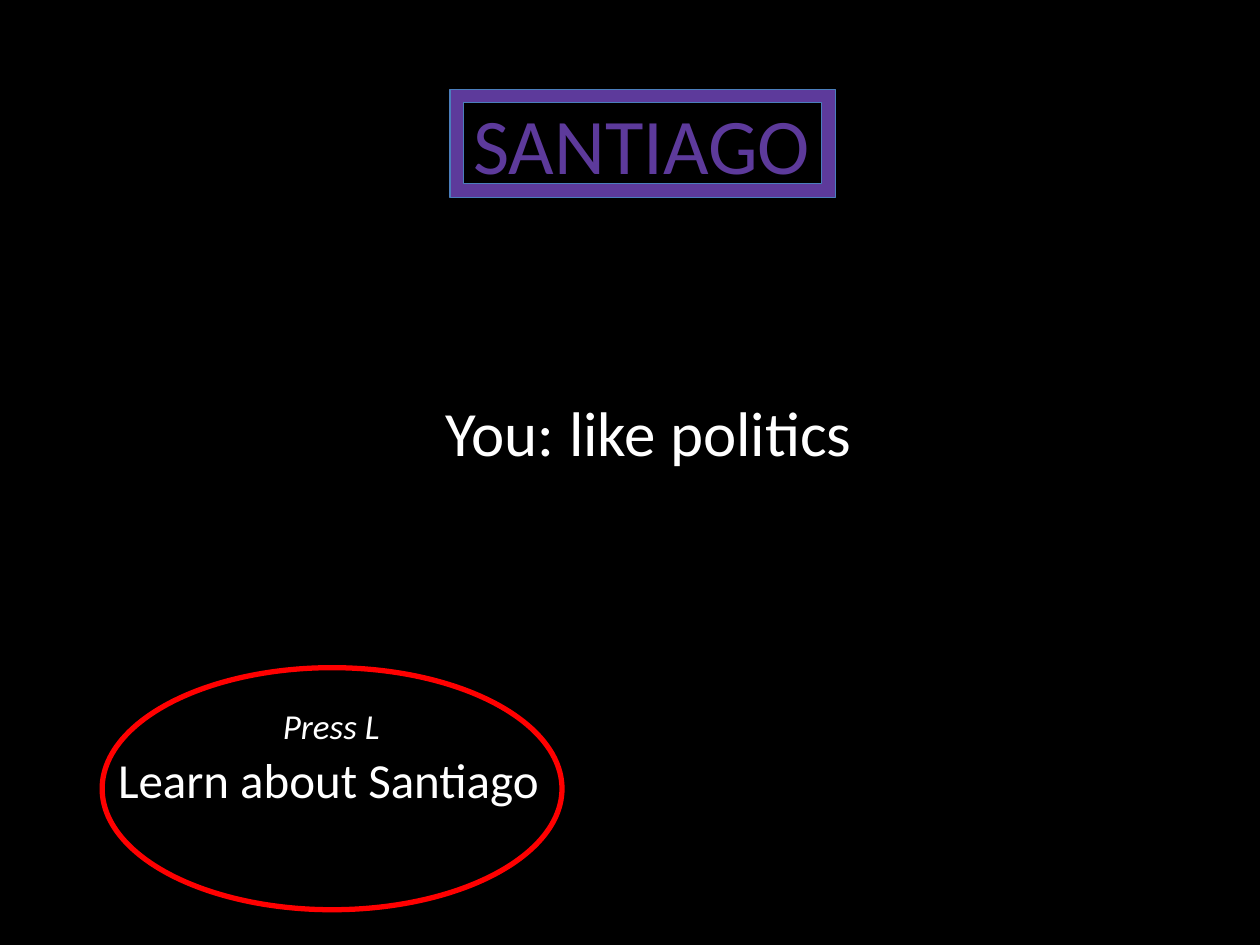
from pptx import Presentation
from pptx.dml.color import RGBColor
from pptx.enum.shapes import MSO_SHAPE as Shape
from pptx.enum.text import PP_ALIGN as Align
from pptx.util import Cm, Pt

BLACK = RGBColor(0x00, 0x00, 0x00)
WHITE = RGBColor(0xFF, 0xFF, 0xFF)
RED = RGBColor(0xFF, 0x00, 0x00)
PURPLE = RGBColor(0x5D, 0x3A, 0x9B)
BLUE = RGBColor(0x4B, 0x7E, 0xBC)


def add_text(s, box, text, size, color=WHITE, align=Align.CENTER, italic=False):
    tf = s.shapes.add_textbox(*map(Cm, box)).text_frame
    tf.word_wrap = True
    p = tf.paragraphs[0]
    p.text = text
    p.alignment = align
    p.font.name = "Calibri"
    p.font.size = Pt(size)
    p.font.italic = italic
    p.font.color.rgb = color


def add_outline(s, kind, box, line, width, fill=None):
    sp = s.shapes.add_shape(kind, *map(Cm, box))
    sp.shadow.inherit = False
    if fill is None:
        sp.fill.background()
    else:
        sp.fill.solid()
        sp.fill.fore_color.rgb = fill
    sp.line.color.rgb = line
    sp.line.width = Pt(width)


def main():
    """Build the Santiago slide and save it."""
    prs = Presentation()
    prs.slide_width, prs.slide_height = Cm(25.4), Cm(19.05)
    s = prs.slides.add_slide(prs.slide_layouts[6])
    s.background.fill.solid()
    s.background.fill.fore_color.rgb = BLACK

    add_text(s, (3.76, 7.8, 18.64, 1.8), "You: like politics", 36)
    add_text(s, (2.13, 14.99, 10.82, 4.88), "Learn about Santiago", 28, align=Align.LEFT)
    add_text(s, (3.1, 14.07, 7.16, 1.12), "Press L", 20, italic=True)
    add_outline(s, Shape.OVAL, (2.06, 13.46, 9.27, 4.88), RED, 3)
    add_outline(s, Shape.FRAME, (9.07, 1.8, 7.77, 2.18), BLUE, 0.75, PURPLE)
    add_text(s, (1.9, 1.8, 22.07, 2.18), "SANTIAGO", 45, PURPLE)

    prs.save("out.pptx")


if __name__ == "__main__":
    main()
